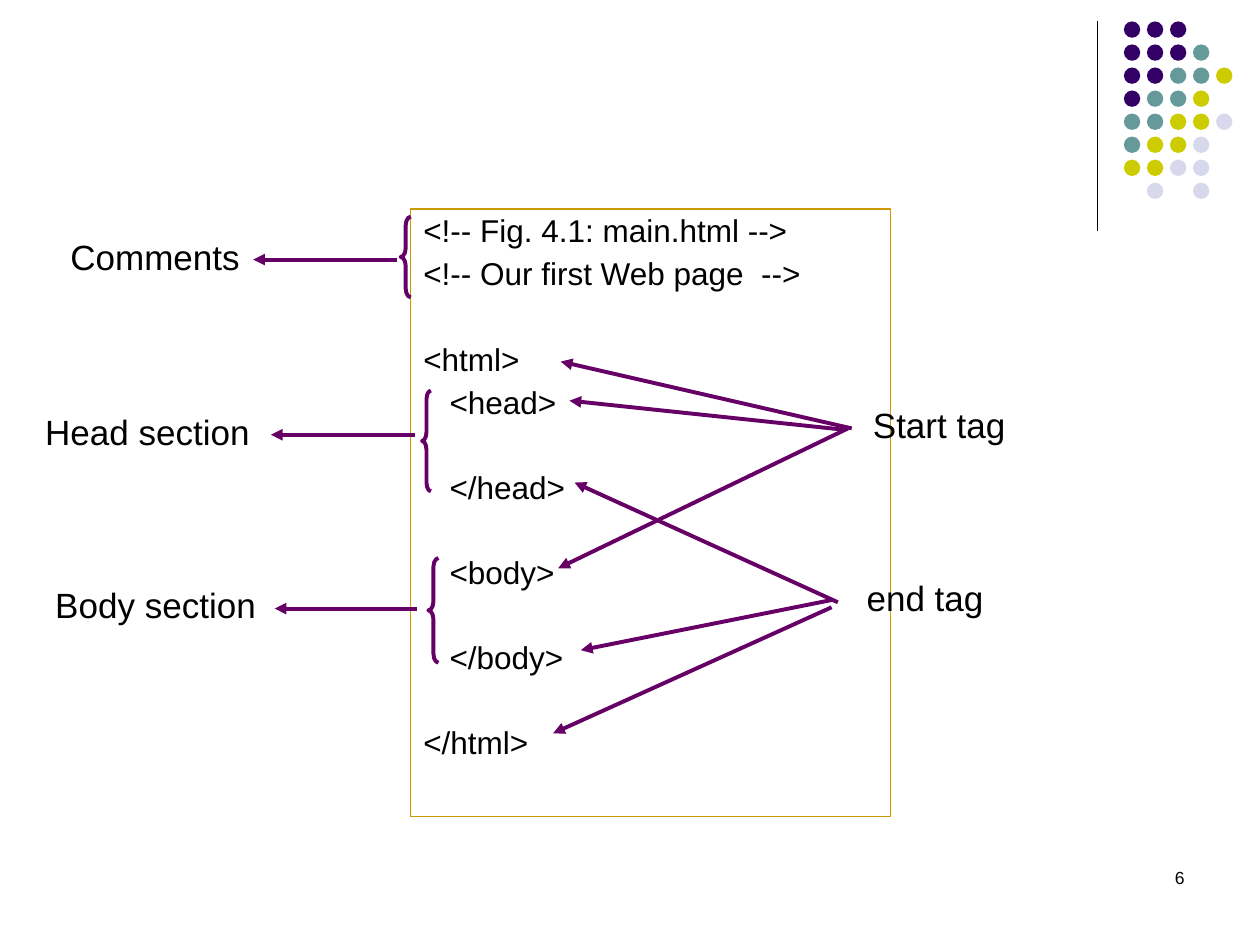
from typing import NamedTuple

from lxml.etree import SubElement
from pptx import Presentation
from pptx.dml.color import RGBColor
from pptx.enum.shapes import MSO_CONNECTOR, MSO_SHAPE
from pptx.enum.text import MSO_ANCHOR, MSO_AUTO_SIZE, PP_ALIGN
from pptx.oxml.ns import qn
from pptx.util import Inches, Pt

COLORS = {
    "ink": "000000",
    "arrow": "660066",
    "frame": "CC9900",
    "P": "330066",
    "T": "669999",
    "Y": "CCCC00",
    "L": "D8D8EC",
}
DOTS = ["PPP", "PPPT", "PPTTY", "PTTY", "TTYYL", "TYYL", "YYLL", " L L"]
CODE = [
    ["<!-- Fig. 4.1: main.html -->", "<!-- Our first Web page  -->"],
    ["<html>", "   <head>"],
    ["   </head>"],
    ["   <body>"],
    ["   </body>"],
    ["</html>"],
]
PITCH = 23.9
SPACE = 5.3


class Box(NamedTuple):
    left: float
    top: float
    width: float
    height: float


class Label(NamedTuple):
    text: str
    box: Box


class Arrow(NamedTuple):
    x: float
    y: float
    tip_x: float
    tip_y: float


LABELS = [
    Label("Comments", Box(0.46, 1.82, 1.67, 0.44)),
    Label("Head section", Box(0.26, 3.21, 2.03, 0.44)),
    Label("Body section", Box(0.34, 4.58, 2.24, 0.44)),
    Label("Start tag", Box(6.83, 3.15, 1.44, 0.44)),
    Label("end tag", Box(6.78, 4.53, 1.17, 0.44)),
]
BRACES = [
    Box(3.18, 1.72, 0.08, 0.64),
    Box(3.35, 3.1, 0.07, 0.8),
    Box(3.4, 4.43, 0.08, 0.83),
]
ARROWS = [
    Arrow(3.15, 2.06, 2.01, 2.06),
    Arrow(3.29, 3.45, 2.15, 3.45),
    Arrow(3.31, 4.83, 2.18, 4.83),
    Arrow(6.76, 3.4, 4.45, 2.87),
    Arrow(6.69, 3.41, 4.52, 3.18),
    Arrow(6.73, 3.4, 4.43, 4.51),
    Arrow(6.65, 4.78, 4.56, 3.83),
    Arrow(6.61, 4.76, 4.61, 5.16),
    Arrow(6.6, 4.82, 4.39, 5.82),
]


def shade(name: str) -> RGBColor:
    return RGBColor.from_string(COLORS[name])


def place(box: Box) -> list:
    return [Inches(side) for side in box]


def write(para, text: str, *, size: float, align=PP_ALIGN.LEFT,
          before: float = 0, lines: float = 1.0) -> None:
    run = para.add_run()
    run.text = text
    run.font.size = Pt(size)
    run.font.name = "Arial"
    run.font.color.rgb = shade("ink")
    para.alignment = align
    para.space_before = Pt(before)
    para.line_spacing = lines


def add_text(slide, box: Box, text: str, **style) -> None:
    frame = slide.shapes.add_textbox(*place(box)).text_frame
    frame.word_wrap = True
    write(frame.paragraphs[0], text, **style)


def add_line(slide, arrow: Arrow, color: str, width: float, head: bool = True) -> None:
    ends = [Inches(end) for end in arrow]
    line = slide.shapes.add_connector(MSO_CONNECTOR.STRAIGHT, *ends)
    line.line.color.rgb = shade(color)
    line.line.width = Pt(width)
    props = line.element.spPr
    if head:
        SubElement(props.find(qn("a:ln")), qn("a:tailEnd"), type="triangle")
    SubElement(props, qn("a:effectLst"))


def add_dots(slide) -> None:
    step = 1.28 / 7
    for row, marks in enumerate(DOTS):
        for col, mark in enumerate(marks):
            if mark == " ":
                continue
            box = Box(8.92 + col * step, 0.17 + row * step, 0.13, 0.13)
            dot = slide.shapes.add_shape(MSO_SHAPE.OVAL, *place(box))
            dot.shadow.inherit = False
            dot.fill.solid()
            dot.fill.fore_color.rgb = shade(mark)
            dot.line.fill.background()


def add_brace(slide, box: Box) -> None:
    brace = slide.shapes.add_shape(MSO_SHAPE.LEFT_BRACE, *place(box))
    brace.shadow.inherit = False
    brace.adjustments[0] = 0.07 / box.width
    brace.fill.background()
    brace.line.color.rgb = shade("arrow")
    brace.line.width = Pt(2.25)


def fill_code(body) -> None:
    body.left, body.top, body.width, body.height = place(Box(3.26, 1.66, 3.81, 4.82))
    body.line.color.rgb = shade("frame")
    body.line.width = Pt(0.75)
    frame = body.text_frame
    frame.word_wrap = True
    frame.auto_size = MSO_AUTO_SIZE.NONE
    frame.vertical_anchor = MSO_ANCHOR.TOP
    for part, block in enumerate(CODE):
        for row, text in enumerate(block):
            first = part == row == 0
            para = frame.paragraphs[0] if first else frame.add_paragraph()
            props = para._p.get_or_add_pPr()
            props.set("marL", "0")
            props.set("indent", "0")
            SubElement(props, qn("a:buNone"))
            gap = 0 if first else SPACE if row else SPACE + PITCH
            write(para, text, size=18, before=gap, lines=0.9)


def main() -> None:
    deck = Presentation()
    deck.slide_width, deck.slide_height = Inches(10), Inches(7.5)
    slide = deck.slides.add_slide(deck.slide_layouts[1])
    title = slide.shapes.title.element
    title.getparent().remove(title)
    fill_code(slide.placeholders[1])
    add_line(slide, Arrow(8.71, 0.17, 8.71, 1.83), "ink", 0.75, head=False)
    add_dots(slide)
    for arrow in ARROWS:
        add_line(slide, arrow, "arrow", 2.25)
    for brace in BRACES:
        add_brace(slide, brace)
    for label in LABELS:
        add_text(slide, label.box, label.text, size=20)
    add_text(slide, Box(7.17, 6.83, 2.33, 0.5), "6", size=10, align=PP_ALIGN.RIGHT)
    deck.save("out.pptx")


if __name__ == "__main__":
    main()
